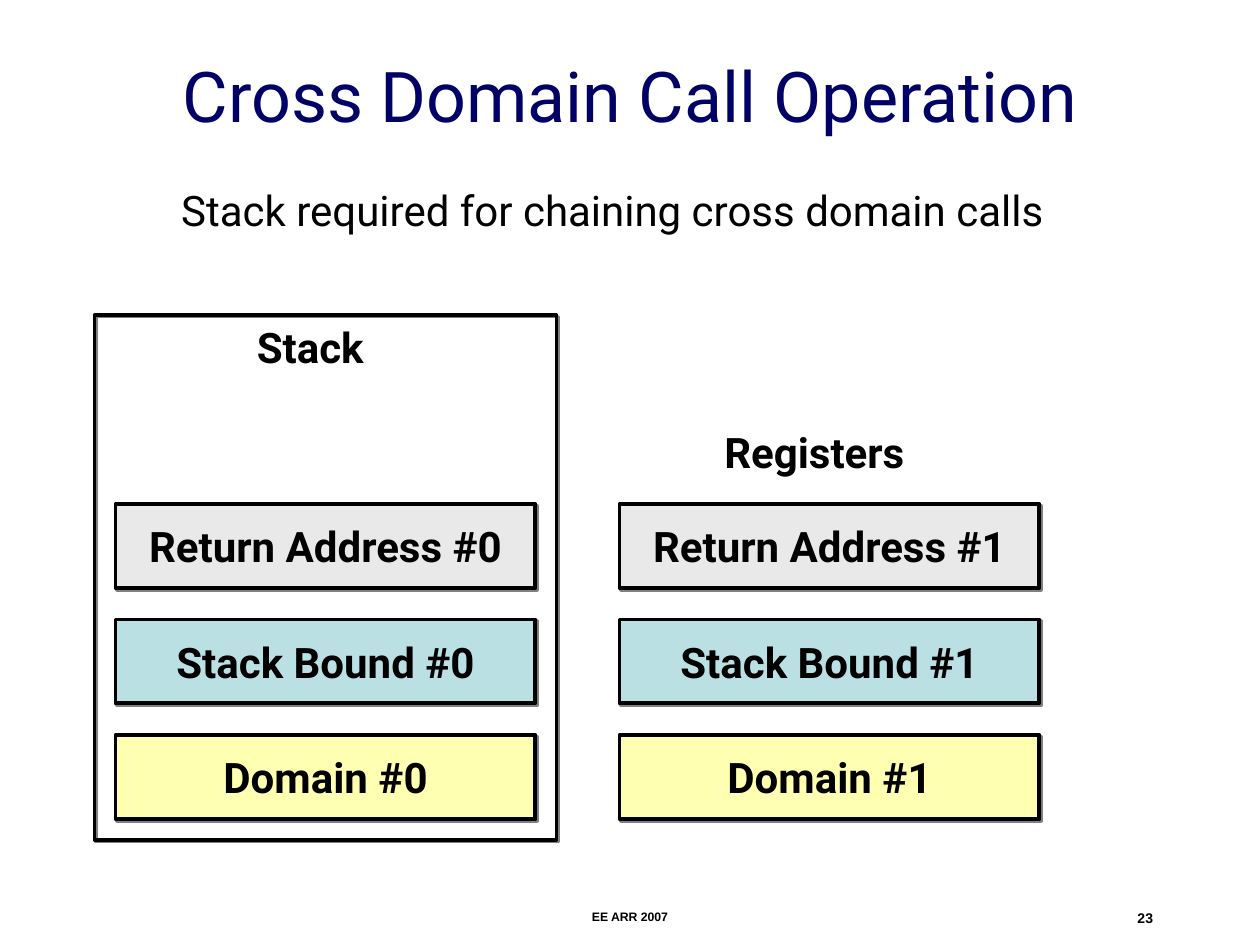
from dataclasses import dataclass

from lxml import etree
from pptx import Presentation
from pptx.dml.color import RGBColor
from pptx.enum.shapes import MSO_SHAPE
from pptx.enum.text import MSO_ANCHOR, PP_ALIGN
from pptx.oxml.ns import qn
from pptx.util import Pt

RECTANGLE = MSO_SHAPE.RECTANGLE
TOP, MIDDLE = MSO_ANCHOR.TOP, MSO_ANCHOR.MIDDLE
LEFT, CENTER, RIGHT = PP_ALIGN.LEFT, PP_ALIGN.CENTER, PP_ALIGN.RIGHT

COLORS = {
    "title": "000066",
    "ink": "000000",
    "shadow": "808080",
    "address": "E9E9E9",
    "bound": "BBE0E3",
    "domain": "FFFFB2",
}


@dataclass
class Area:
    left: float
    top: float
    width: float
    height: float

    def lengths(self) -> list:
        return [Pt(value) for value in (self.left, self.top, self.width, self.height)]


@dataclass
class Label:
    text: str
    area: Area
    size: float = 24
    bold: bool = True
    font: str = "Roboto"
    color: str = "ink"
    align: PP_ALIGN = LEFT
    anchor: MSO_ANCHOR = TOP
    wrap: bool = False


@dataclass
class Entry:
    name: str
    color: str


@dataclass
class Column:
    left: float
    number: int


ENTRIES = [
    Entry("Return Address", "address"),
    Entry("Stack Bound", "bound"),
    Entry("Domain", "domain"),
]
COLUMNS = [Column(66, 0), Column(354, 1)]
ENTRY_TOP, ENTRY_STEP, ENTRY_WIDTH, ENTRY_HEIGHT = 288, 66, 240, 48
STACK_AREA = Area(54, 180, 264, 300)

LABELS = [
    Label("Cross Domain Call Operation", Area(54, 18, 612, 72), size=40, bold=False,
          color="title", align=CENTER, anchor=MIDDLE, wrap=True),
    Label("Stack required for chaining cross domain calls",
          Area(96.5, 102, 532, 36), bold=False),
    Label("Stack", Area(139.7, 180, 80, 36)),
    Label("Registers", Area(406.8, 240, 126, 36)),
    Label("EE ARR 2007", Area(246, 516, 228, 12), size=7, font="Arial",
          align=CENTER, wrap=True),
    Label("23", Area(516, 516, 150, 12), size=8, font="Arial", align=RIGHT, wrap=True),
]


def rgb(name: str) -> RGBColor:
    return RGBColor.from_string(COLORS[name])


def write(shape, label: Label) -> None:
    frame = shape.text_frame
    frame.word_wrap = label.wrap
    frame.vertical_anchor = label.anchor
    para = frame.paragraphs[0]
    para.alignment = label.align
    span = para.add_run()
    span.text = label.text
    formats = {"name": label.font, "size": Pt(label.size), "bold": label.bold}
    for name, value in formats.items():
        setattr(span.font, name, value)
    span.font.color.rgb = rgb(label.color)


def add_label(page, label: Label) -> None:
    write(page.shapes.add_textbox(*label.area.lengths()), label)


def add_box(page, area: Area, line_width: float, fill: str = ""):
    """Draw an outlined rectangle with a hard shadow; no fill name leaves it open."""
    box = page.shapes.add_shape(RECTANGLE, *area.lengths())
    if fill:
        box.fill.solid()
        box.fill.fore_color.rgb = rgb(fill)
    else:
        box.fill.background()
    box.line.color.rgb = rgb("ink")
    box.line.width = Pt(line_width)
    box.shadow.inherit = False
    effects = box.element.spPr.find(qn("a:effectLst"))
    shadow = etree.SubElement(effects, qn("a:outerShdw"), blurRad="0",
                              dist=str(Pt(1.4)), dir=str(45 * 60000),
                              algn="ctr", rotWithShape="0")
    etree.SubElement(shadow, qn("a:srgbClr"), val=COLORS["shadow"])
    return box


def add_column(page, column: Column) -> None:
    for row, entry in enumerate(ENTRIES):
        area = Area(column.left, ENTRY_TOP + row * ENTRY_STEP, ENTRY_WIDTH, ENTRY_HEIGHT)
        box = add_box(page, area, 2.25, entry.color)
        write(box, Label(f"{entry.name} #{column.number}", area,
                         align=CENTER, anchor=MIDDLE))


def main() -> None:
    deck = Presentation()
    deck.slide_width, deck.slide_height = Pt(720), Pt(540)
    page = deck.slides.add_slide(deck.slide_layouts[6])
    add_box(page, STACK_AREA, 2)
    for column in COLUMNS:
        add_column(page, column)
    for label in LABELS:
        add_label(page, label)
    deck.save("out.pptx")


if __name__ == "__main__":
    main()
